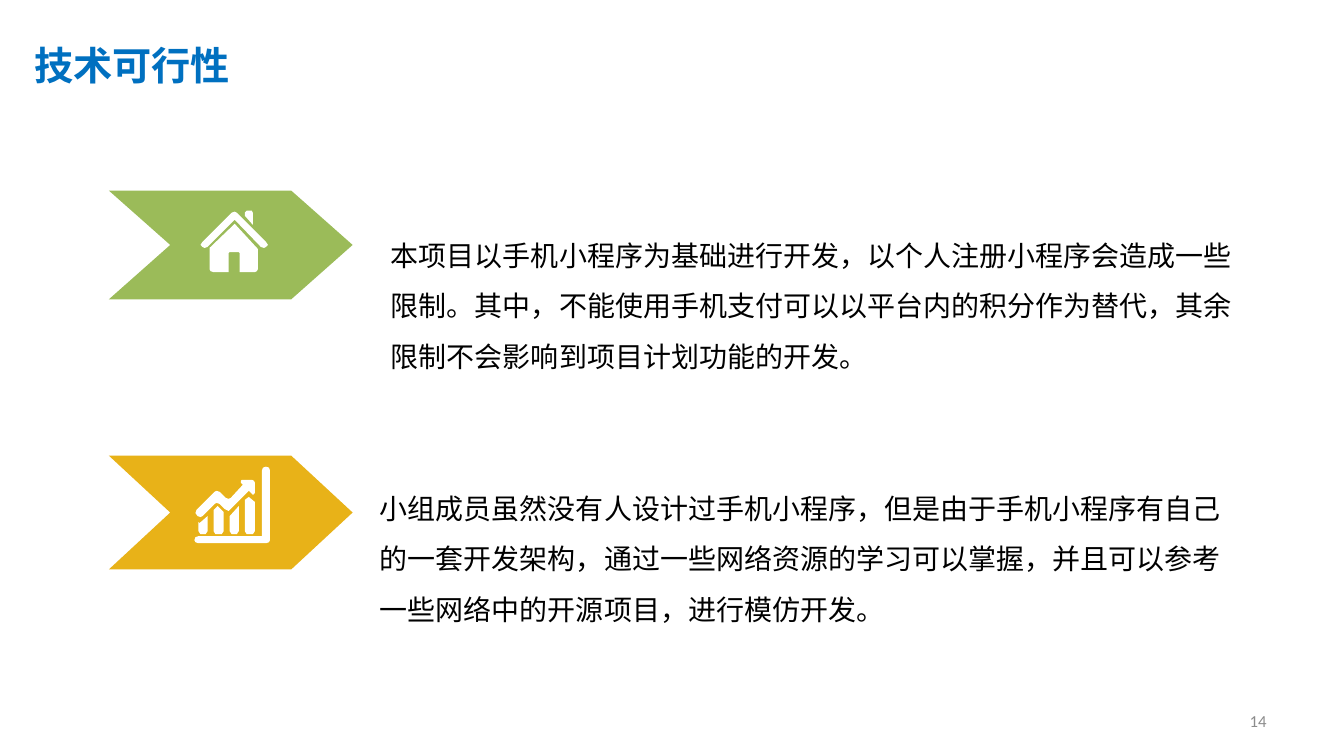
import pptx
import pptx.util
import pptx.dml.color
import pptx.enum.shapes
import pptx.enum.text
import pptx.oxml
import pptx.oxml.ns
from dataclasses import dataclass
from pptx.util import Inches


@dataclass(frozen=True)
class Theme:
    title_blue: str = "0070C0"
    green: str = "9BBB59"
    amber: str = "E8B218"
    white: str = "FFFFFF"
    black: str = "000000"
    grey: str = "8C8C8C"
    title_size: int = 28
    body_size: int = 20
    number_size: int = 12
    east_asian: str = "Noto Sans CJK SC"
    body_font: str = "Arial"
    number_font: str = "Calibri"


THEME = Theme()

# Icon outlines: each icon is a list of parts, each part a list of closed contours
HOUSE = [[
    [(2.51, 2.23), (2.51, 2.11), (2.5, 2.09), (2.45, 2.09), (2.43, 2.11), (2.43, 2.14)],
    [(2.64, 2.4), (2.35, 2.11), (2.33, 2.1), (2.3, 2.11), (2.01, 2.4), (1.99, 2.43),
     (2.01, 2.45), (2.03, 2.46), (2.06, 2.45), (2.33, 2.18), (2.59, 2.45), (2.62, 2.46),
     (2.64, 2.45), (2.66, 2.43)],
    [(2.08, 2.46), (2.08, 2.67), (2.09, 2.69), (2.12, 2.7), (2.27, 2.7), (2.27, 2.51),
     (2.28, 2.5), (2.37, 2.5), (2.38, 2.51), (2.38, 2.7), (2.53, 2.7), (2.55, 2.69),
     (2.56, 2.67), (2.56, 2.47), (2.33, 2.22)],
]]
TREND_ARROW = [
    (2.13, 5), (2.15, 4.99), (2.18, 5), (2.23, 5.05), (2.27, 5.07), (2.29, 5.05),
    (2.47, 4.87), (2.51, 4.91), (2.53, 4.89), (2.53, 4.79), (2.52, 4.77), (2.5, 4.76),
    (2.4, 4.76), (2.39, 4.77), (2.39, 4.79), (2.41, 4.81), (2.29, 4.94), (2.27, 4.95),
    (2.24, 4.94), (2.18, 4.88), (2.15, 4.87), (2.13, 4.88), (1.95, 5.06), (1.94, 5.09),
    (1.96, 5.12), (1.99, 5.13), (2.01, 5.12)]
AXES = [
    (2.64, 4.63), (2.61, 4.64), (2.6, 4.67), (2.6, 5.32), (1.97, 5.32), (1.94, 5.33),
    (1.93, 5.36), (1.94, 5.38), (1.97, 5.39), (2.64, 5.39), (2.67, 5.38), (2.68, 5.36),
    (2.68, 4.67), (2.67, 4.64)]
# Top edge of each bar, left to right
BAR_TOPS = [
    [(1.97, 5.18), (1.98, 5.19), (2.06, 5.12)],
    [(2.12, 5.06), (2.16, 5.02), (2.22, 5.08)],
    [(2.28, 5.12), (2.37, 5.02)],
    [(2.43, 4.96), (2.47, 4.93), (2.53, 4.98)],
]


def bar_outline(top):
    left, right = top[0][0], top[-1][0]
    return top + [(right, 5.27), (right - 0.02, 5.3), (left + 0.02, 5.3), (left, 5.27)]


GROWTH_CHART = [[bar_outline(top)] for top in BAR_TOPS] + [[TREND_ARROW], [AXES]]


def paint(shape, color):
    shape.shadow.inherit = False
    shape.fill.solid()
    shape.fill.fore_color.rgb = pptx.dml.color.RGBColor.from_string(color)
    shape.line.fill.background()


def add_arrow(page, top, height, color):
    arrow = page.shapes.add_shape(pptx.enum.shapes.MSO_SHAPE.CHEVRON, Inches(1.08),
                                  Inches(top), Inches(2.42), Inches(height))
    arrow.adjustments[0] = 0.61 / height
    paint(arrow, color)


def add_icon(page, parts):
    for contours in parts:
        builder = None
        for contour in contours:
            points = [(Inches(x), Inches(y)) for x, y in contour]
            if builder is None:
                builder = page.shapes.build_freeform(*points[0])
            else:
                builder.move_to(*points[0])
            builder.add_line_segments(points[1:], close=True)
        paint(builder.convert_to_shape(), THEME.white)


def add_text(page, text, place, size, font, color, bold=False, spacing=None,
             margins=(0.1, 0.05), align=pptx.enum.text.PP_ALIGN.LEFT,
             anchor=pptx.enum.text.MSO_ANCHOR.TOP):
    box = page.shapes.add_textbox(*map(Inches, place))
    frame = box.text_frame
    frame.word_wrap = True
    frame.vertical_anchor = anchor
    frame.margin_left = frame.margin_right = Inches(margins[0])
    frame.margin_top = frame.margin_bottom = Inches(margins[1])
    frame.text = text
    para = frame.paragraphs[0]
    para.alignment = align
    if spacing:
        para.line_spacing = spacing
    span = para.runs[0]
    span.font.size = pptx.util.Pt(size)
    span.font.name = font
    span.font.bold = bold
    span.font.color.rgb = pptx.dml.color.RGBColor.from_string(color)
    # East Asian typeface for the Chinese characters
    typeface = pptx.oxml.parse_xml(
        f'<a:ea {pptx.oxml.ns.nsdecls("a")} typeface="{THEME.east_asian}"/>')
    span.font._element.append(typeface)


def add_body(page, text, left, top):
    add_text(page, text, (left, top, 8.87, 1.56), THEME.body_size, THEME.body_font,
             THEME.black, spacing=1.5, margins=(0.13, 0.06))


def main():
    deck = pptx.Presentation()
    deck.slide_width, deck.slide_height = Inches(13.34), Inches(7.5)
    page = deck.slides.add_slide(deck.slide_layouts[6])

    # Title
    add_text(page, "技术可行性", (0.24, 0.36, 3.7, 0.57), THEME.title_size,
             THEME.east_asian, THEME.title_blue, bold=True)

    # Platform limits
    add_arrow(page, 1.89, 1.08, THEME.green)
    add_icon(page, HOUSE)
    add_body(page, "本项目以手机小程序为基础进行开发，以个人注册小程序会造成一些限制。"
             "其中，不能使用手机支付可以以平台内的积分作为替代，"
             "其余限制不会影响到项目计划功能的开发。", 3.75, 2.14)

    # Team skills
    add_arrow(page, 4.52, 1.13, THEME.amber)
    add_icon(page, GROWTH_CHART)
    add_body(page, "小组成员虽然没有人设计过手机小程序，但是由于手机小程序有自己的一套开发架构，"
             "通过一些网络资源的学习可以掌握，并且可以参考一些网络中的开源项目，"
             "进行模仿开发。", 3.64, 4.65)

    # Page number
    add_text(page, "14", (9.56, 6.95, 3.11, 0.4), THEME.number_size, THEME.number_font,
             THEME.grey, align=pptx.enum.text.PP_ALIGN.RIGHT,
             anchor=pptx.enum.text.MSO_ANCHOR.MIDDLE)

    deck.save("out.pptx")


if __name__ == "__main__":
    main()
